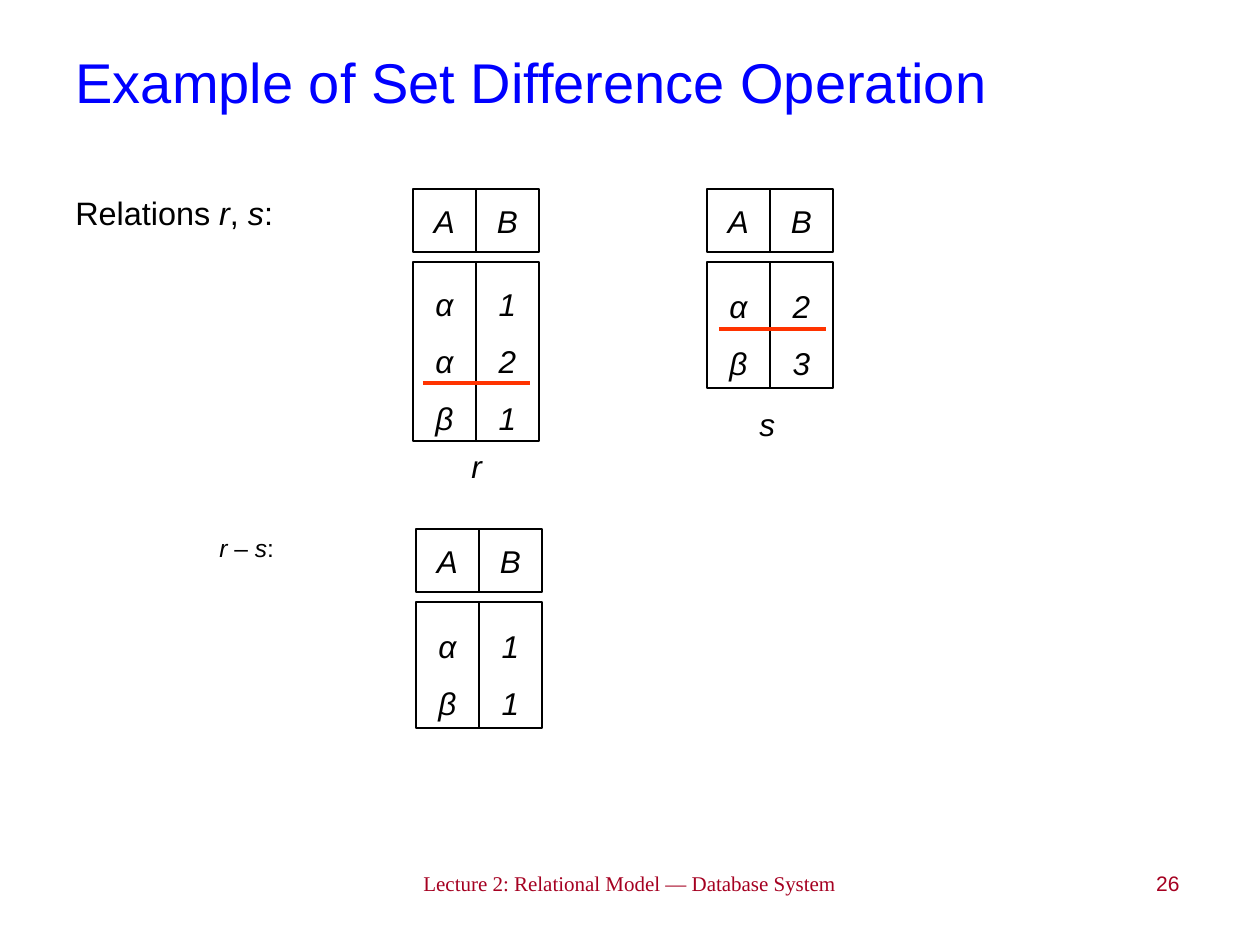
from dataclasses import dataclass

from lxml import etree
from pptx import Presentation
from pptx import util as u
from pptx.dml.color import RGBColor
from pptx.enum import shapes, text
from pptx.oxml.ns import qn

PX = 914400 / 126


@dataclass(frozen=True)
class Theme:
    sans: str = "Arial"
    serif: str = "Times New Roman"
    title: str = "0000FF"
    ink: str = "000000"
    paper: str = "FFFFFF"
    footer: str = "A50021"
    strike: str = "FF3300"
    title_size: float = 32
    body_size: float = 18.5
    cell_size: float = 18
    note_size: float = 14
    footer_size: float = 12


theme = Theme()
LEFT, CENTER, RIGHT = text.PP_ALIGN.LEFT, text.PP_ALIGN.CENTER, text.PP_ALIGN.RIGHT
MIDDLE, TOP = text.MSO_ANCHOR.MIDDLE, text.MSO_ANCHOR.TOP


def px(*lengths):
    return [u.Emu(round(length * PX)) for length in lengths]


def write(shape, lines, size, color=theme.ink, font=theme.sans, anchor=TOP, wrap=True, **paragraph_format):
    """Fill a shape with lines, each a list of (words, italic) runs."""
    frame = shape.text_frame
    frame.word_wrap, frame.vertical_anchor = wrap, anchor
    for index, runs in enumerate(lines):
        paragraph = frame.add_paragraph() if index else frame.paragraphs[0]
        for name, value in paragraph_format.items():
            setattr(paragraph, name, value)
        for words, italic in runs:
            run = paragraph.add_run()
            run.text = words
            run.font.color.rgb = RGBColor.from_string(color)
            for name, value in {"name": font, "size": u.Pt(size), "italic": italic, "bold": False}.items():
                setattr(run.font, name, value)


presentation = Presentation()
presentation.slide_width, presentation.slide_height = px(1260, 945)
slide = presentation.slides.add_slide(presentation.slide_layouts[5])

# Title
title = slide.shapes.title
title.left, title.top, title.width, title.height = px(63, 3, 1134, 157)
write(title, [[("Example of Set Difference Operation", False)]], theme.title_size,
      theme.title, anchor=MIDDLE, alignment=LEFT)

# Footer and slide number
for box, words, font, alignment in [
    ((291, 864, 683, 57), "Lecture 2: Relational Model — Database System ", theme.serif, CENTER),
    ((1013, 864, 179, 55), "26", theme.sans, RIGHT),
]:
    write(slide.shapes.add_textbox(*px(*box)), [[(words, False)]], theme.footer_size,
          theme.footer, font, alignment=alignment)

# Captions at the left
for box, runs, size, space in [
    ((63, 194, 268, 45), [("Relations ", False), ("r", True), (",", False), (" s", True), (":", False)],
     theme.body_size, 5),
    ((207, 532, 136, 45), [("r ", True), ("– ", False), ("s", True), (":", False)],
     theme.note_size, 8.8),
]:
    caption = slide.shapes.add_textbox(*px(*box))
    write(caption, [runs], size, line_spacing=0.8, space_before=u.Pt(space))
    indent, = px(48)
    properties = caption.text_frame.paragraphs[0]._p.get_or_add_pPr()
    properties.set("marL", str(indent))
    properties.set("indent", str(-indent))

# Relations: a header cell above one tall cell for each column
CELL, BODY_OFFSET = 63, 73
for left, top, body_height, columns in [
    (413, 189, 179, {"A": "ααβ", "B": "121"}),
    (707, 189, 126, {"A": "αβ", "B": "23"}),
    (416, 529, 126, {"A": "αβ", "B": "11"}),
]:
    for column, (header, values) in enumerate(columns.items()):
        for offset, height, entries, spacing in [
            (0, CELL, header, 1.0),
            (BODY_OFFSET, body_height, values, 1.5),
        ]:
            cell = slide.shapes.add_shape(
                shapes.MSO_SHAPE.RECTANGLE, *px(left + column * CELL, top + offset, CELL, height))
            cell.shadow.inherit = False
            cell.fill.solid()
            cell.fill.fore_color.rgb = RGBColor.from_string(theme.paper)
            cell.line.color.rgb = RGBColor.from_string(theme.ink)
            cell.line.width = u.Pt(0.75)
            write(cell, [[(entry, True)] for entry in entries], theme.cell_size,
                  anchor=MIDDLE, wrap=False, alignment=CENTER, line_spacing=spacing)

# Relation names
for name, box in {"r": (459, 441, 35, 50), "s": (747, 399, 40, 50)}.items():
    write(slide.shapes.add_textbox(*px(*box)), [[(name, True)]], theme.cell_size,
          anchor=MIDDLE, wrap=False, alignment=CENTER, space_before=u.Pt(11.2))

# Lines marking the tuple the relations share
for left, top in [(423, 383), (719, 329)]:
    line = slide.shapes.add_connector(
        shapes.MSO_CONNECTOR.STRAIGHT, *px(left, top, left + 107, top))
    line.line.color.rgb = RGBColor.from_string(theme.strike)
    line.line.width = u.Pt(2.25)
    etree.SubElement(line._element.spPr, qn("a:effectLst"))

presentation.save("out.pptx")
